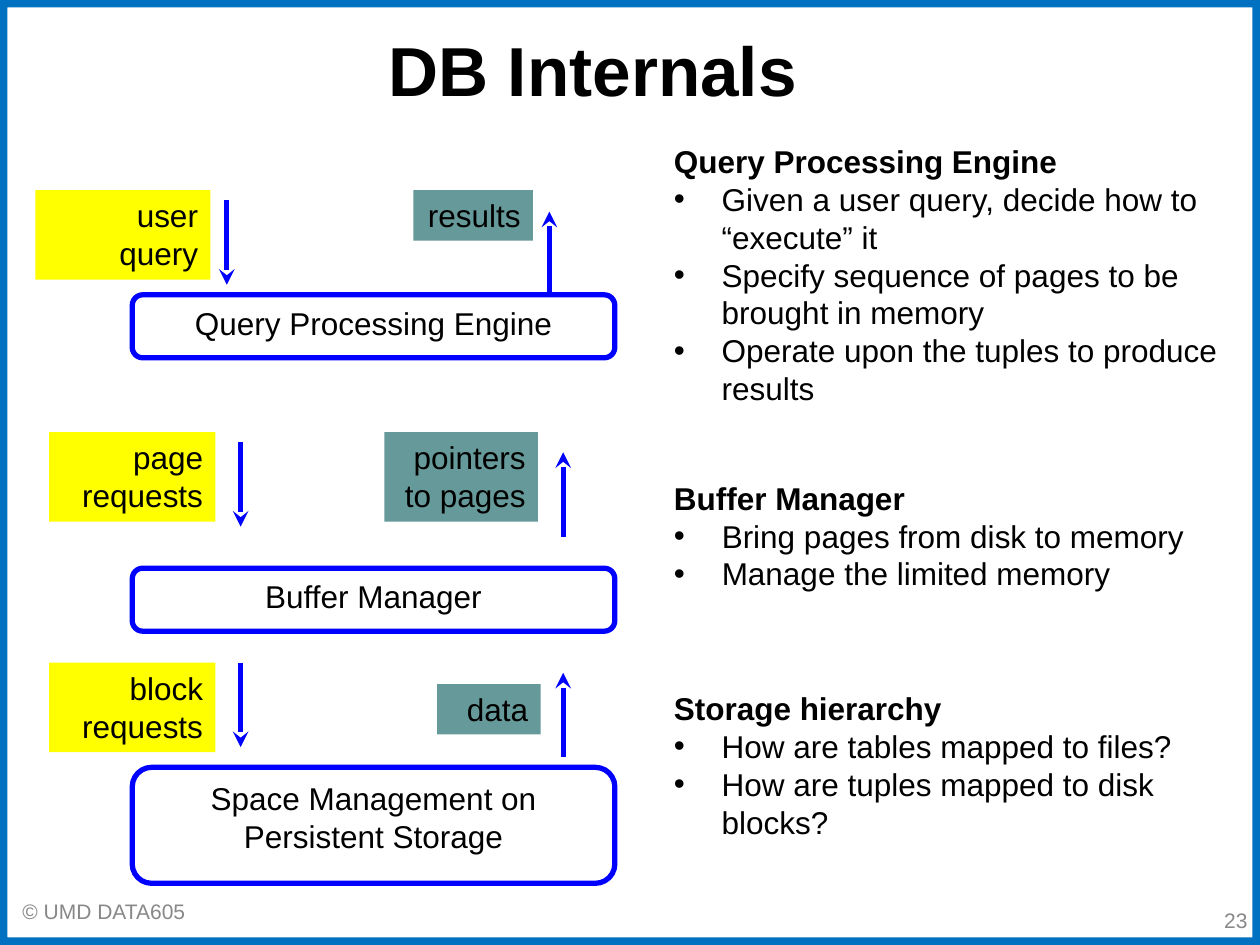
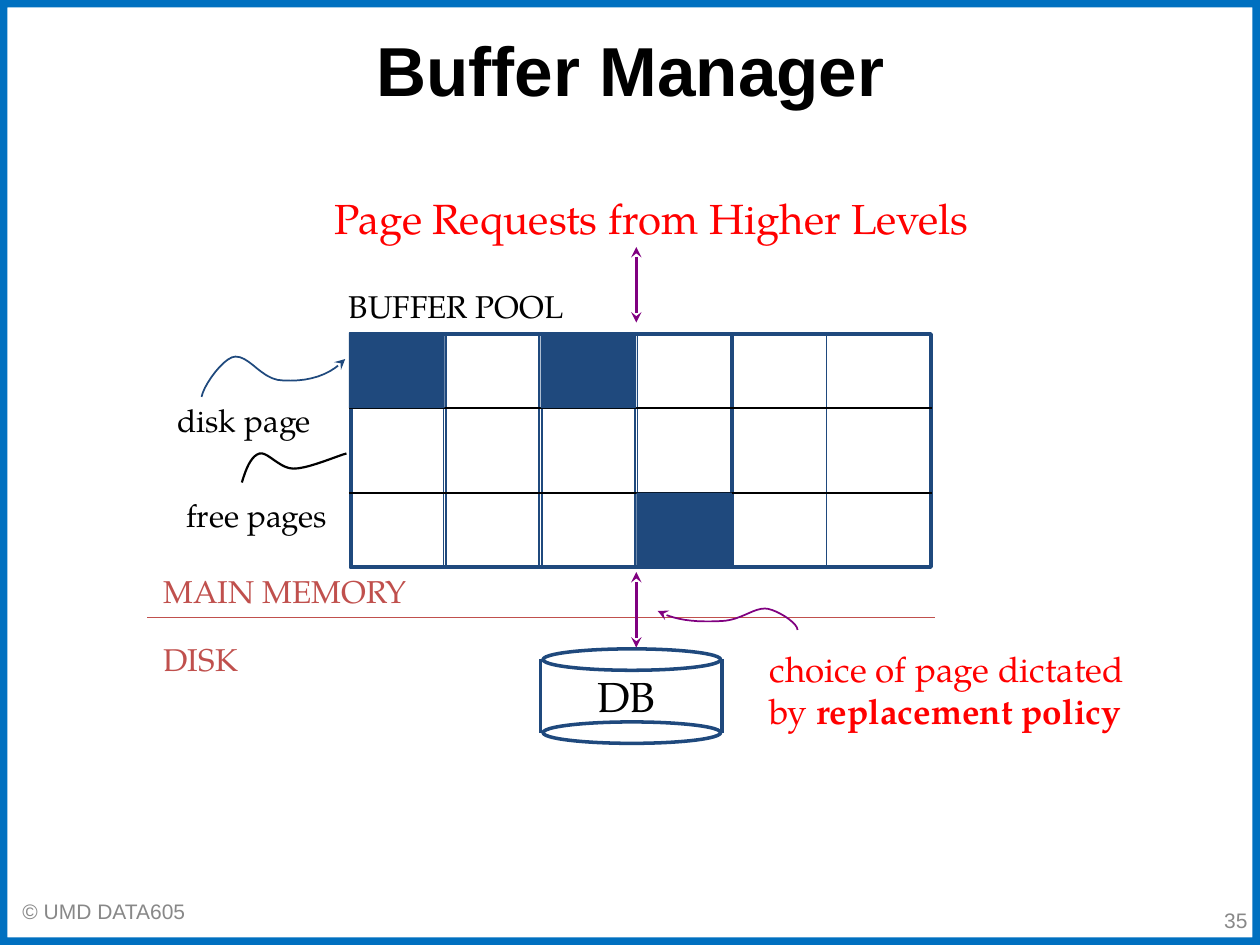
import lxml.etree
import pptx
import pptx.dml.color
import pptx.enum.shapes
import pptx.enum.text
import pptx.oxml.ns
import pptx.util

COLORS = {
    "border": "0070C0", "footer": "888888", "text": "000000",
    "flow": "0000FF", "request": "FFFF00", "response": "669999",
    "pool": "1F497D", "level": "C0504D", "alert": "FF0000", "arrow": "800080",
}
SANS = "Arial"
SERIF = "TeX Gyre Pagella"
WIDTH, HEIGHT = pptx.util.Inches(10), pptx.util.Inches(7.5)
COLUMN, ROW = WIDTH / 100, HEIGHT / 75  # the slide is a grid of 100 by 75 cells

SHAPE = pptx.enum.shapes.MSO_SHAPE
ALIGN = pptx.enum.text.PP_ALIGN
ANCHOR = pptx.enum.text.MSO_ANCHOR


def cells(*lengths):
    """Turn alternating columns and rows into slide lengths."""
    return [round(length * (ROW if index % 2 else COLUMN))
            for index, length in enumerate(lengths)]


def rgb(name):
    return pptx.dml.color.RGBColor.from_string(COLORS[name])


def add_xml(parent, tag, **attributes):
    return lxml.etree.SubElement(parent, pptx.oxml.ns.qn(tag), attributes)


def format_span(span, size, color, font, bold=False):
    span.font.size = pptx.util.Pt(size)
    span.font.name = font
    span.font.bold = bold
    span.font.color.rgb = rgb(color)


def write(box, lines, size=18, color="text", font=SANS, align=ALIGN.LEFT,
          anchor=ANCHOR.TOP, bold=False, wrap=True):
    frame = box.text_frame
    frame.text = "\n".join(lines)
    frame.word_wrap = wrap
    frame.vertical_anchor = anchor
    for para in frame.paragraphs:
        para.alignment = align
        for span in para.runs:
            format_span(span, size, color, font, bold)


def add_text(page, area, lines, **style):
    box = page.shapes.add_textbox(*cells(*area))
    write(box, lines, **style)
    return box


def add_label(page, area, text, **style):
    add_text(page, area, [text], font=SERIF, wrap=False, **style)


def style_line(shape, color, width, head=False, tail=False):
    shape.line.color.rgb = rgb(color)
    shape.line.width = pptx.util.Pt(width)
    outline = shape.line._get_or_add_ln()
    for tag, wanted in (("a:headEnd", head), ("a:tailEnd", tail)):
        if wanted:
            add_xml(outline, tag, type="stealth")


def add_box(page, kind, area, fill=None, line=None, width=1):
    box = page.shapes.add_shape(kind, *cells(*area))
    box.shadow.inherit = False
    if fill:
        box.fill.solid()
        box.fill.fore_color.rgb = rgb(fill)
    else:
        box.fill.background()
    if line:
        style_line(box, line, width)
    else:
        box.line.fill.background()
    return box


def add_line(page, ends, color, width, **arrows):
    line = page.shapes.add_connector(
        pptx.enum.shapes.MSO_CONNECTOR.STRAIGHT, *cells(*ends))
    style_line(line, color, width, **arrows)
    add_xml(line._element.spPr, "a:effectLst")


def add_curve(page, start, bends, color, width, tail=False, steps=10):
    """Draw a chain of cubic curves; each bend is two controls and an end."""
    points = []
    first = start
    for bend in bends:
        for step in range(1, steps + 1):
            t = step / steps
            weights = ((1 - t) ** 3, 3 * t * (1 - t) ** 2, 3 * t * t * (1 - t), t ** 3)
            point = [sum(weight * spot[axis] for weight, spot in zip(weights, (first, *bend)))
                     for axis in (0, 1)]
            points.append(cells(*point))
        first = bend[-1]
    builder = page.shapes.build_freeform(*cells(*start))
    builder.add_line_segments(points, close=False)
    curve = builder.convert_to_shape()
    curve.shadow.inherit = False
    curve.fill.background()
    style_line(curve, color, width, tail=tail)


def add_page(deck, title, title_area, number):
    page = deck.slides.add_slide(deck.slide_layouts[5])
    add_box(page, SHAPE.FRAME, (0, 0, 100, 75), fill="border").adjustments[0] = 0.008
    add_text(page, (0.8, 70.3, 32.8, 4), ["© UMD DATA605"], size=12,
             color="footer", anchor=ANCHOR.MIDDLE)
    add_text(page, (76.7, 71, 23.3, 4), [number], size=12, color="footer",
             align=ALIGN.RIGHT, anchor=ANCHOR.MIDDLE)
    heading = page.shapes.title
    heading.left, heading.top, heading.width, heading.height = cells(*title_area)
    write(heading, [title], size=39.6, align=ALIGN.CENTER, anchor=ANCHOR.MIDDLE, bold=True)
    heading.text_frame.auto_size = pptx.enum.text.MSO_AUTO_SIZE.NONE
    return page


def add_topic(page, area, heading, points):
    """Write a bold heading over bulleted points."""
    box = add_text(page, area, [heading, *points])
    heading_para, *point_paras = box.text_frame.paragraphs
    heading_para.runs[0].font.bold = True
    indent = pptx.util.Inches(0.38)
    for para in point_paras:
        properties = para._p.get_or_add_pPr()
        properties.set("marL", str(indent))
        properties.set("indent", str(-indent))
        add_xml(add_xml(properties, "a:buClr"), "a:srgbClr", val=COLORS["text"])
        add_xml(properties, "a:buFont", typeface=SANS)
        add_xml(properties, "a:buChar", char="•")


def add_layer(page, top, height, name):
    box = add_box(page, SHAPE.ROUNDED_RECTANGLE, (10.5, top, 38.3, height),
                  line="flow", width=3)
    write(box, [name], align=ALIGN.CENTER)


def add_flow(page, area, lines, kind, arrow_column, arrow_top):
    """Draw a message label and its arrow: requests go down, responses up."""
    box = add_box(page, SHAPE.RECTANGLE, area, fill=kind)
    write(box, lines, align=ALIGN.RIGHT)
    add_line(page, (arrow_column, arrow_top, arrow_column, arrow_top + 6.7),
             "flow", 3, head=kind == "response", tail=kind == "request")


def build_internals(deck):
    page = add_page(deck, "DB Internals", (5.8, 1.7, 82.5, 7.5), "23")
    add_topic(page, (52.5, 10.8, 46.7, 22.2), "Query Processing Engine", [
        "Given a user query, decide how to “execute” it",
        "Specify sequence of pages to be brought in memory",
        "Operate upon the tuples to produce results"])
    add_topic(page, (52.5, 37.5, 43.1, 10.1), "Buffer Manager", [
        "Bring pages from disk to memory", "Manage the limited memory"])
    add_topic(page, (52.5, 54.2, 45.3, 13.1), "Storage hierarchy", [
        "How are tables mapped to files?", "How are tuples mapped to disk blocks?"])

    for top, height, name in (
            (23.4, 5, "Query Processing Engine"),
            (45.1, 5, "Buffer Manager"),
            (60.9, 9.2, "Space Management on Persistent Storage")):
        add_layer(page, top, height, name)

    for area, lines, kind, arrow_column, arrow_top in (
            ((2.8, 15.1, 13.9, 7.1), ["user", "query"], "request", 18, 15.9),
            ((3.9, 34.3, 13.2, 7.1), ["page requests"], "request", 19.1, 35.1),
            ((3.9, 52.6, 13.2, 7.1), ["block requests"], "request", 19.1, 52.6),
            ((32.8, 15.1, 9.5, 4), ["results"], "response", 43.6, 16.8),
            ((30.5, 34.3, 12.2, 7.1), ["pointers", "to pages"], "response", 44.7, 35.9),
            ((34.7, 54.3, 8.2, 4), ["data"], "response", 44.7, 53.4)):
        add_flow(page, area, lines, kind, arrow_column, arrow_top)


def add_buffer_pool(page):
    left, pitch = 27.7, 7.6
    row_tops = (26.4, 32.4, 39.1)
    add_box(page, SHAPE.RECTANGLE, (27.9, 26.5, 46, 18.5), line="pool", width=2)
    for column in range(5):
        add_box(page, SHAPE.RECTANGLE, (left + 0.1 + column * pitch, 26.4, 7.4, 18.7),
                line="pool")
    for top in row_tops[1:]:
        add_line(page, (left, top, 74, top), "text", 1)
    for column, row in ((0, 0), (2, 0), (3, 2)):
        add_box(page, SHAPE.RECTANGLE, (left + column * pitch, row_tops[row], pitch, 6),
                fill="pool")


def add_database(page):
    for top in (51.5, 57.3):
        add_box(page, SHAPE.OVAL, (43.1, top, 14.1, 1.7), line="pool", width=2)
    for side in (42.9, 57.3):
        add_line(page, (side, 52.3, side, 58.2), "pool", 2)
    add_label(page, (46.4, 52.7, 7, 5), "DB", size=24)


def build_buffer_manager(deck):
    page = add_page(deck, "Buffer Manager", (1.7, 1.7, 96.7, 7.5), "35")
    add_buffer_pool(page)
    add_database(page)
    add_line(page, (11.7, 49, 74.2, 49), "level", 1)
    for top in (19.6, 45.4):
        add_line(page, (50.5, top, 50.5, top + 6), "arrow", 2, head=True, tail=True)

    add_label(page, (25.6, 14.8, 52.8, 5), "Page Requests from Higher Levels",
              size=24, color="alert")
    add_label(page, (26.7, 22.3, 19.1, 4), "BUFFER POOL")
    add_label(page, (13.1, 31.3, 12.7, 4), "disk page")
    add_label(page, (13.8, 38.9, 13.3, 4), "free pages")
    add_label(page, (12, 44.9, 21.4, 4), "MAIN MEMORY", color="level")
    add_label(page, (12, 50.3, 11.2, 4), "DISK", color="level")
    policy = add_text(page, (60.1, 50.9, 31.4, 7.7), ["choice of page dictated", "by "],
                      size=20, color="alert", font=SERIF, wrap=False)
    span = policy.text_frame.paragraphs[1].add_run()
    span.text = "replacement policy"
    format_span(span, 20, "alert", SERIF, bold=True)

    add_curve(page, (16, 31.5), (
        ((16.2, 30.5), (17.8, 28.3), (18.7, 28.3)),
        ((19.9, 28.3), (20.8, 30.2), (22.5, 30.2)),
        ((24.5, 30.3), (26.2, 29.8), (27.4, 28.5))), "pool", 1, tail=True)
    add_curve(page, (19.2, 38.3), (
        ((19.5, 37.3), (19.9, 36.2), (20.6, 36)),
        ((21.2, 35.8), (22.2, 37.2), (23.3, 37.2)),
        ((24.5, 37.2), (26.7, 36.2), (27.5, 36))), "text", 1.25)
    add_curve(page, (63.3, 50), (
        ((63.3, 49.4), (61.5, 48.3), (60.7, 48.3)),
        ((59.7, 48.3), (58.7, 49.3), (57.1, 49.3)),
        ((55, 49.4), (53.5, 49.2), (52.2, 48.5))), "arrow", 1, tail=True)


def main():
    deck = pptx.Presentation()
    deck.slide_width, deck.slide_height = WIDTH, HEIGHT
    build_internals(deck)
    build_buffer_manager(deck)
    deck.save("out.pptx")


if __name__ == "__main__":
    main()
